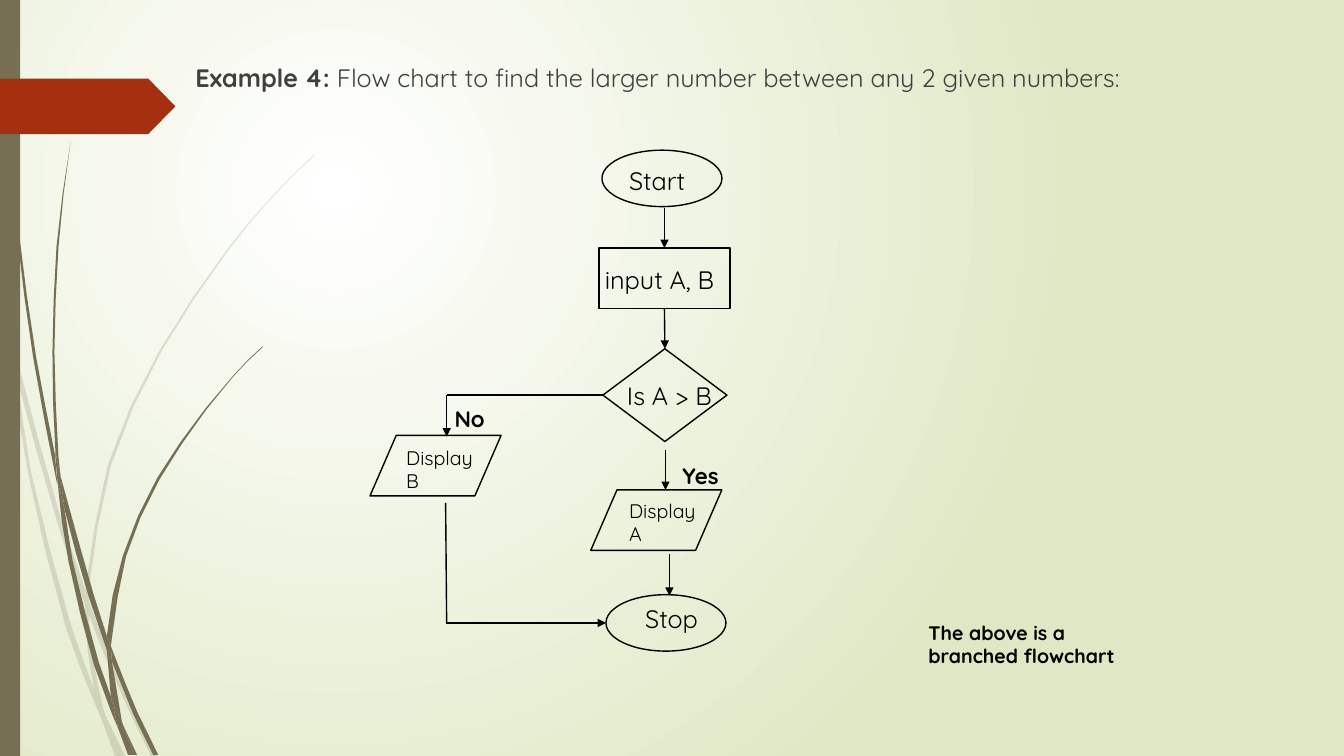
import math
from dataclasses import dataclass

import pptx
import pptx.dml.color
import pptx.enum.shapes
import pptx.enum.text
import pptx.oxml
import pptx.oxml.ns
import pptx.util
from lxml import etree

Inches = pptx.util.Inches
RGB = pptx.dml.color.RGBColor.from_string
SHAPE = pptx.enum.shapes.MSO_SHAPE
qn = pptx.oxml.ns.qn


@dataclass(frozen=True)
class Theme:
    font: str = "Quicksand"
    ink: str = "000000"
    title: str = "404040"
    olive: str = "766F54"
    red: str = "A53010"
    glow: str = "FFFFFF"
    edge: str = "DFE8C4"
    body_size: int = 18
    branch_size: int = 16
    small_size: int = 14
    line_width: int = 1


THEME = Theme()

# Outlines of the grass blades, in inches on the slide
PALE_BLADES = [
    [(.11, 3.5), (.09, 3.22), (0, 2.82), (0, 2.99), (.1, 3.44)],
    [(.58, 5.22), (.84, 5.99), (.85, 5.86), (.62, 5.2), (.14, 3.45), (.17, 3.76)],
    [(.92, 6.07), (.88, 5.96), (.88, 6.1), (1.23, 6.94), (1.5, 7.5), (1.55, 7.5), (1.27, 6.92)],
    [(1.19, 7.5), (1.24, 7.5), (1.05, 7.11)],
    [(.93, 6.83), (.7, 6.19), (.31, 4.69), (.17, 3.76), (.11, 3.5), (.28, 4.7), (.65, 6.21),
     (.92, 6.93), (1.01, 7.14), (.99, 7.07)],
    [(.84, 5.99), (.87, 6.46), (.93, 6.83), (.96, 6.92), (1.05, 7.11), (1.03, 7.06), (.91, 6.46),
     (.88, 6.1), (.88, 6.08)],
    [(.88, 5.84), (1.1, 4.62), (1.6, 3.49), (2.29, 2.45), (2.68, 1.98), (2.9, 1.75), (3.12, 1.54),
     (3.12, 1.53), (2.89, 1.75), (2.68, 1.97), (2.28, 2.44), (1.58, 3.48), (1.07, 4.61),
     (.85, 5.84), (.85, 5.86), (.88, 5.96)],
    [(1.01, 7.14), (1.14, 7.5), (1.19, 7.5)],
    [(.88, 6.08), (.88, 6.1), (.88, 5.96), (.85, 5.86), (.84, 5.99)],
    [(.96, 6.92), (.93, 6.83), (.99, 7.07), (1.01, 7.14), (1.19, 7.5), (1.05, 7.11)],
]
DARK_BLADES = [
    [(.07, 1.1), (.17, 2.33), (.33, 3.55), (.56, 4.77), (.57, 4.81), (.55, 4.57), (.55, 4.53),
     (.36, 3.55), (.19, 2.32), (.08, 1.09), (.05, .48), (.04, 0), (.03, 0), (.04, .48)],
    [(.88, 5.92), (1.06, 6.45), (1.06, 6.31), (.93, 5.9), (.6, 4.72), (.64, 5.05)],
    [(1.13, 6.49), (1.1, 6.41), (1.11, 6.56), (1.32, 7.08), (1.52, 7.49), (1.57, 7.49), (1.36, 7.06)],
    [(1.1, 6.91), (.98, 6.57), (.72, 5.56), (.64, 5.05), (.57, 4.77), (.68, 5.57), (.93, 6.59),
     (1.11, 7.08), (1.17, 7.22), (1.16, 7.17)],
    [(.6, 4.72), (.58, 4.53), (.54, 3.49), (.58, 2.45), (.63, 1.93), (.7, 1.41), (.62, 1.93),
     (.56, 2.45), (.52, 3.49), (.55, 4.49)],
    [(1.33, 7.49), (1.36, 7.49), (1.22, 7.19)],
    [(.57, 4.77), (.64, 5.05), (.6, 4.72), (.55, 4.49), (.55, 4.53)],
    [(1.11, 6.33), (1.25, 5.52), (1.58, 4.76), (2.05, 4.06), (2.31, 3.74), (2.45, 3.59), (2.61, 3.44),
     (2.6, 3.44), (2.45, 3.58), (2.31, 3.73), (2.04, 4.05), (1.56, 4.74), (1.22, 5.51),
     (1.06, 6.31), (1.1, 6.41)],
    [(1.17, 7.22), (1.27, 7.49), (1.31, 7.49)],
    [(1.06, 6.45), (1.1, 6.91), (1.16, 7.06), (1.22, 7.19), (1.21, 7.16), (1.11, 6.56), (1.09, 6.51)],
    [(1.06, 6.45), (1.09, 6.51), (1.11, 6.56), (1.1, 6.41), (1.06, 6.31)],
    [(1.16, 7.06), (1.1, 6.91), (1.16, 7.17), (1.17, 7.22), (1.3, 7.49), (1.33, 7.49), (1.22, 7.19)],
]


def smooth(points, longest=0.6):
    """Bow the long sides of a closed outline by one extra point in the middle."""
    count = len(points)

    def unit(a, b):
        length = math.dist(a, b)
        return (b[0] - a[0]) / length, (b[1] - a[1]) / length

    def dot(u, v):
        return u[0] * v[0] + u[1] * v[1]

    def tangent(i):
        before, here, after = points[i - 1], points[i], points[(i + 1) % count]
        gentle = dot(unit(before, here), unit(here, after)) > 0.85
        return unit(before, after) if gentle else None

    def mirror(t, chord):
        return tuple(2 * dot(t, chord) * c - x for x, c in zip(t, chord))

    curve = []
    for i, start in enumerate(points):
        curve.append(start)
        j = (i + 1) % count
        end, length = points[j], math.dist(start, points[j])
        if length > longest:
            chord, m0, m1 = unit(start, end), tangent(i), tangent(j)
            m0 = m0 or mirror(m1 or chord, chord)
            m1 = m1 or mirror(m0, chord)
            curve.append(tuple((start[k] + end[k]) / 2 + length * (m0[k] - m1[k]) / 8
                               for k in (0, 1)))
    return curve


def paint(sp, fill=None, line=None):
    sp.shadow.inherit = False
    if fill:
        sp.fill.solid()
        sp.fill.fore_color.rgb = RGB(fill)
    else:
        sp.fill.background()
    if line:
        sp.line.color.rgb = RGB(line)
        sp.line.width = pptx.util.Pt(THEME.line_width)
    else:
        sp.line.fill.background()
    return sp


def add_preset(slide, kind, box, **colours):
    return paint(slide.shapes.add_shape(kind, *map(Inches, box)), **colours)


def add_text(slide, box, *paragraphs, size=THEME.body_size, color=THEME.ink, bold=False, grow=True):
    """Each paragraph is a string or a list of (text, bold) runs."""
    tf = slide.shapes.add_textbox(*map(Inches, box)).text_frame
    tf.word_wrap = True
    if grow:
        tf.auto_size = pptx.enum.text.MSO_AUTO_SIZE.SHAPE_TO_FIT_TEXT
    for i, runs in enumerate(paragraphs):
        p = tf.add_paragraph() if i else tf.paragraphs[0]
        for text, heavy in [(runs, bold)] if isinstance(runs, str) else runs:
            r = p.add_run()
            r.text = text
            r.font.name, r.font.size, r.font.bold = THEME.font, pptx.util.Pt(size), heavy
            r.font.color.rgb = RGB(color)


def add_line(slide, start, end, arrow=True, begin=None, finish=None):
    """begin and finish are (shape, site) pairs to join the ends to."""
    line = slide.shapes.add_connector(
        pptx.enum.shapes.MSO_CONNECTOR.STRAIGHT, *map(Inches, start + end))
    if begin:
        line.begin_connect(*begin)
    if finish:
        line.end_connect(*finish)
    line.line.color.rgb = RGB(THEME.ink)
    line.line.width = pptx.util.Pt(THEME.line_width)
    if arrow:
        etree.SubElement(line.line._get_or_add_ln(), qn("a:tailEnd"), type="triangle")
    etree.SubElement(line._element.spPr, qn("a:effectLst"))


def add_background(slide):
    fill = slide.background.fill
    fill.gradient()
    for stop, colour in zip(fill.gradient_stops, (THEME.glow, THEME.edge)):
        stop.color.rgb = RGB(colour)
    grad = slide.element.find(".//" + qn("a:gradFill"))
    grad.remove(grad.find(qn("a:lin")))
    circle = etree.SubElement(grad, qn("a:path"), path="circle")
    etree.SubElement(circle, qn("a:fillToRect"), l="50000", t="50000", r="100000", b="100000")


def add_grass(slide, blades, opacity=100):
    for blade in blades:
        points = [(Inches(x), Inches(y)) for x, y in smooth(blade)]
        builder = slide.shapes.build_freeform(*points[0])
        builder.add_line_segments(points[1:], close=True)
        sp = paint(builder.convert_to_shape(), fill=THEME.olive)
        if opacity < 100:
            colour = sp._element.spPr.find(".//" + qn("a:srgbClr"))
            etree.SubElement(colour, qn("a:alpha"), val=str(opacity * 1000))


def add_decoration(slide):
    add_background(slide)
    add_grass(slide, PALE_BLADES, opacity=20)
    add_grass(slide, DARK_BLADES)
    add_preset(slide, SHAPE.RECTANGLE, (0, 0, 0.2, 7.5), fill=THEME.olive)
    tag = add_preset(slide, SHAPE.PENTAGON, (0, 0.78, 1.74, 0.55), fill=THEME.red)
    tag.adjustments[0] = 0.49


def add_flowchart(slide, left, top):
    def node(kind, x, y, w, h):
        return add_preset(slide, kind, (left + x, top + y, w, h), line=THEME.ink)

    def label(x, y, *lines, h=0.4, **style):
        add_text(slide, (left + x, top + y, 2.12, h), *lines, **style)

    def link(x1, y1, x2, y2, **ends):
        add_line(slide, (left + x1, top + y1), (left + x2, top + y2), **ends)

    node(SHAPE.OVAL, 2.3, 0, 1.19, 0.56)
    entry = node(SHAPE.RECTANGLE, 2.27, 0.97, 1.3, 0.6)
    test = node(SHAPE.FLOWCHART_DECISION, 2.31, 1.97, 1.23, 0.92)
    node(SHAPE.FLOWCHART_DATA, 0, 2.83, 1.3, 0.6)
    node(SHAPE.FLOWCHART_DATA, 2.19, 3.37, 1.3, 0.6)
    node(SHAPE.OVAL, 2.34, 4.41, 1.19, 0.56)

    link(2.92, 0.57, 2.92, 0.97, finish=(entry, 0))
    link(2.92, 1.57, 2.92, 1.97, begin=(entry, 2), finish=(test, 0))
    link(2.93, 2.97, 2.93, 3.37)
    link(2.97, 4.01, 2.97, 4.42)
    link(2.31, 2.43, 0.76, 2.43, begin=(test, 1), arrow=False)
    link(0.76, 2.43, 0.76, 2.84)
    link(0.76, 4.69, 0.75, 3.5, arrow=False)
    link(0.75, 4.69, 2.34, 4.69)

    label(2.47, 0.1, "Start")
    label(2.23, 1.08, "input A, B")
    label(2.45, 2.23, "Is A > B")
    label(2.63, 4.45, "Stop")
    for x, y, name in ((2.47, 3.41, "A"), (0.26, 2.88, "B")):
        label(x, y, "Display", name, h=0.57, size=THEME.small_size)
    for x, y, answer in ((3, 3.05, "Yes"), (0.74, 2.48, "No")):
        label(x, y, answer, h=0.37, size=THEME.branch_size, bold=True)


def main():
    prs = pptx.Presentation()
    prs.slide_width, prs.slide_height = Inches(13.33), Inches(7.5)
    slide = prs.slides.add_slide(prs.slide_layouts[6])
    add_decoration(slide)
    add_text(slide, (1.84, 0.57, 10.74, 6.82),
             [("Example 4: ", True),
              ("Flow chart to find the larger number between any 2 given numbers:", False)],
             color=THEME.title, grow=False)
    add_flowchart(slide, left=3.67, top=1.49)
    add_text(slide, (9.11, 6.11, 2.12, 0.57), "The above is a branched flowchart",
             size=THEME.small_size, bold=True)
    prs.save("out.pptx")


if __name__ == "__main__":
    main()
